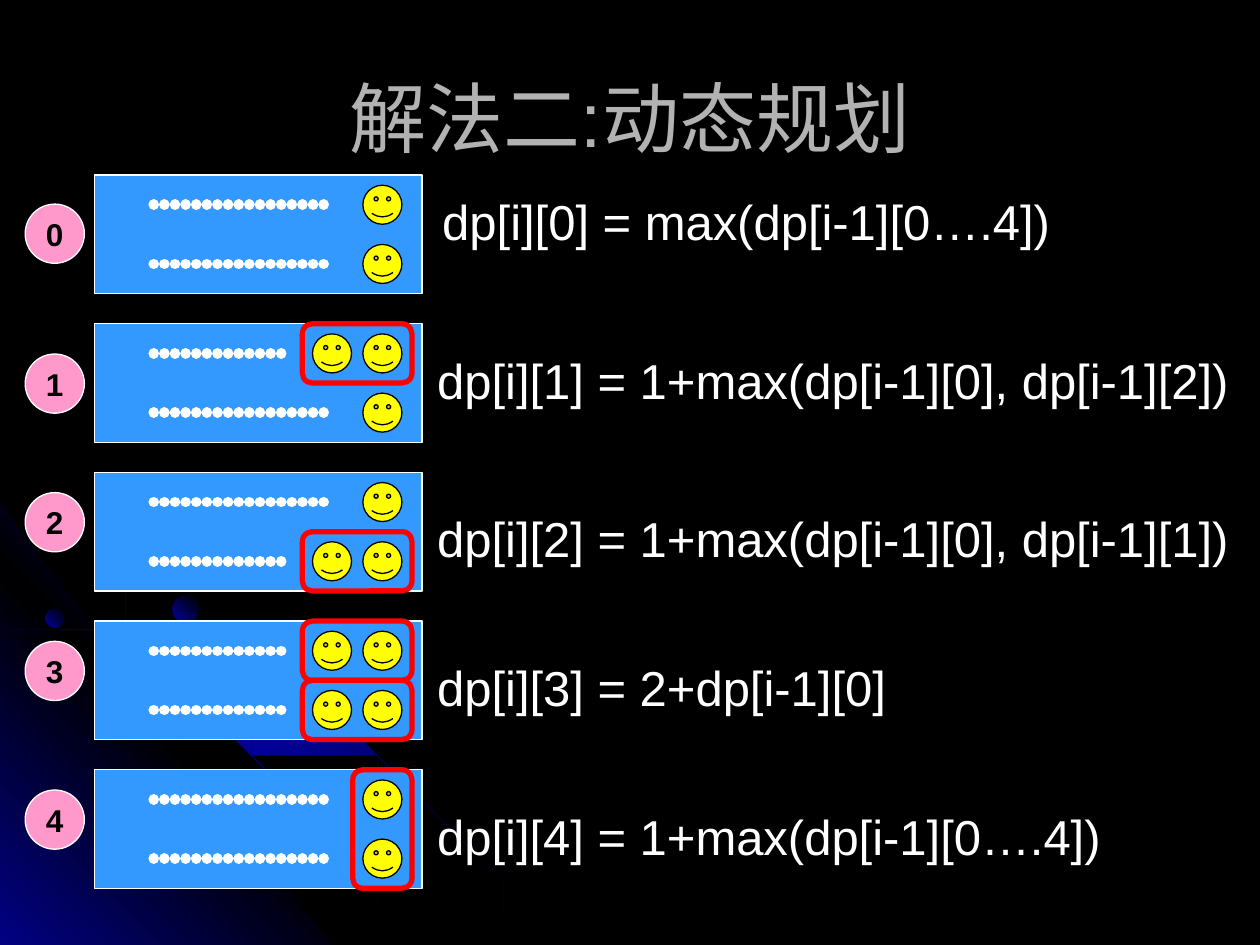
from lxml import etree
from pptx import Presentation
from pptx.dml.color import RGBColor
from pptx.enum.shapes import MSO_CONNECTOR, MSO_SHAPE
from pptx.enum.text import MSO_ANCHOR, PP_ALIGN
from pptx.oxml import parse_xml
from pptx.oxml.ns import nsdecls, qn
from pptx.util import Inches, Pt

RECT, ROUNDED = MSO_SHAPE.RECTANGLE, MSO_SHAPE.ROUNDED_RECTANGLE
OVAL, SMILEY = MSO_SHAPE.OVAL, MSO_SHAPE.SMILEY_FACE
STRAIGHT = MSO_CONNECTOR.STRAIGHT
CENTER, LEFT, MIDDLE, TOP = PP_ALIGN.CENTER, PP_ALIGN.LEFT, MSO_ANCHOR.MIDDLE, MSO_ANCHOR.TOP

# Content: formula, framed cells, badge offset, formula offset, formula left
TITLE = "解法二:动态规划"
STATES = [
    ("dp[i][0] = max(dp[i-1][0….4])", (), 0.23, 0.08, 3.31),
    ("dp[i][1] = 1+max(dp[i-1][0], dp[i-1][2])", ("top",), 0.24, 0.16, 3.27),
    ("dp[i][2] = 1+max(dp[i-1][0], dp[i-1][1])", ("bottom",), 0.16, 0.24, 3.27),
    ("dp[i][3] = 2+dp[i-1][0]", ("top", "bottom"), 0.16, 0.24, 3.27),
    ("dp[i][4] = 1+max(dp[i-1][0….4])", ("column",), 0.16, 0.24, 3.27),
]

# Background decoration: upper edge of each ribbon
NAVY, BLACK, WHITE = "010199", "000000", "FFFFFF"
OUTER_ARC = [(0, 4.35), (0.57, 4.47), (0.98, 4.59), (1.36, 4.77), (1.74, 4.97), (2.09, 5.21),
             (2.42, 5.48), (2.72, 5.78), (3, 6.11), (3.25, 6.48), (3.52, 6.98), (3.72, 7.48)]
INNER_ARC = [(0, 4.75), (0.41, 4.88), (0.79, 5.05), (1.17, 5.26), (1.52, 5.49), (1.84, 5.76),
             (2.15, 6.06), (2.42, 6.4), (2.66, 6.76), (2.86, 7.12), (3.03, 7.48)]
MIDDLE_ARC = [(0, 4.42), (0.39, 4.55), (0.76, 4.73), (1.11, 4.93), (1.44, 5.16), (1.75, 5.43),
              (2.04, 5.73), (2.29, 6.03), (2.54, 6.39), (2.82, 6.93), (3.03, 7.48)]
CORNER = [(3.22, 7.5), (0, 7.5), (0, 4.27)]
ORBS = [(0.36, 4.83, 0.15), (1.37, 4.73, 0.21)]
RIBBON = 0.02

# Grid
ROW_TOP, ROW_PITCH = 1.39, 1.18
PANEL_LEFT, PANEL_W, PANEL_H = 0.75, 2.6, 0.94
CELL = PANEL_H / 2
FACE, FACE_PAD = 0.31, 0.08
FACE_COLUMNS = (2.88, 2.48)
DOTS_LEFT, DOTS_LONG, DOTS_SHORT = 1.22, 2.64, 2.24
BADGE_LEFT = 0.2


def color(value):
    return RGBColor.from_string(value)


def gradient(shape, stops, angle):
    """Fill a borderless shape with evenly spaced gradient stops."""
    shape.shadow.inherit = False
    shape.line.fill.background()
    step = 100000 // (len(stops) - 1)
    gs = "".join(f'<a:gs pos="{i * step}"><a:srgbClr val="{stop}"/></a:gs>'
                 for i, stop in enumerate(stops))
    fill = parse_xml(f'<a:gradFill {nsdecls("a")}><a:gsLst>{gs}</a:gsLst>'
                     f'<a:lin ang="{angle * 60000}" scaled="0"/></a:gradFill>')
    shape._element.spPr.find(qn("a:ln")).addprevious(fill)


def polygon(shapes, points):
    builder = shapes.build_freeform(*points[0], scale=Inches(1))
    builder.add_line_segments(points[1:], close=True)
    return builder.convert_to_shape()


def add_shape(shapes, kind, x, y, w, h, fill, outline, width=0.75):
    shape = shapes.add_shape(kind, Inches(x), Inches(y), Inches(w), Inches(h))
    shape.shadow.inherit = False
    if fill:
        shape.fill.solid()
        shape.fill.fore_color.rgb = color(fill)
    else:
        shape.fill.background()
    shape.line.color.rgb = color(outline)
    shape.line.width = Pt(width)
    return shape


def write(shape, text, size, ink, align, anchor, bold=False, wrap=True):
    frame = shape.text_frame
    frame.text = text
    frame.word_wrap = wrap
    frame.vertical_anchor = anchor
    paragraph = frame.paragraphs[0]
    paragraph.alignment = align
    font = paragraph.font
    font.name, font.size, font.bold = "Arial", Pt(size), bold
    font.color.rgb = color(ink)


def add_dots(shapes, end, y):
    """Row of touching round dots."""
    dots = shapes.add_connector(STRAIGHT, Inches(DOTS_LEFT), Inches(y), Inches(end), Inches(y))
    dots.line.color.rgb = color(WHITE)
    dots.line.width = Pt(6)
    ln = dots.line._ln
    ln.set("cap", "rnd")
    dash = etree.SubElement(ln, qn("a:custDash"))
    etree.SubElement(dash, qn("a:ds"), d="1000", sp="100000")
    etree.SubElement(ln, qn("a:round"))
    etree.SubElement(dots._element.spPr, qn("a:effectLst"))


def add_frame(shapes, x, y, w, h):
    frame = add_shape(shapes, ROUNDED, x, y, w, h, None, "FF0000", 3)
    frame.adjustments[0] = 0.167


def add_decoration(shapes):
    ribbons = [OUTER_ARC, INNER_ARC, MIDDLE_ARC]
    gradient(polygon(shapes, CORNER), (NAVY, BLACK, NAVY), 135)
    for edge in ribbons:
        lower = [(max(0, x - RIBBON), y + RIBBON) for x, y in reversed(edge)]
        gradient(polygon(shapes, edge + lower), (BLACK, NAVY, BLACK), 225)
    for x, y, size in ORBS:
        orb = shapes.add_shape(OVAL, Inches(x), Inches(y), Inches(size), Inches(size))
        gradient(orb, (BLACK, NAVY), 135)


def add_state(shapes, number, formula, framed, badge_dy, formula_dy, formula_left):
    top = ROW_TOP + number * ROW_PITCH
    add_shape(shapes, RECT, PANEL_LEFT, top, PANEL_W, PANEL_H, "3399FF", WHITE)

    # Two lines of dots and faces; a framed pair has a second face
    for row, name in enumerate(("top", "bottom")):
        cell_top = top + row * CELL
        paired = name in framed
        add_dots(shapes, DOTS_SHORT if paired else DOTS_LONG, cell_top + CELL / 2)
        for x in FACE_COLUMNS[:1 + paired]:
            add_shape(shapes, SMILEY, x, cell_top + FACE_PAD, FACE, FACE, "FFFF00", BLACK)
        if paired:
            add_frame(shapes, FACE_COLUMNS[1] - FACE_PAD, cell_top, 0.87, CELL)
    if "column" in framed:
        add_frame(shapes, FACE_COLUMNS[0] - FACE_PAD, top, CELL, PANEL_H)

    # State number and formula
    badge = add_shape(shapes, OVAL, BADGE_LEFT, top + badge_dy, CELL, CELL, "FF99CC", WHITE)
    write(badge, str(number), 18, BLACK, CENTER, MIDDLE, bold=True, wrap=False)
    box = shapes.add_textbox(Inches(formula_left), Inches(top + formula_dy),
                             Inches(10 - formula_left), Inches(0.57))
    write(box, formula, 28, WHITE, LEFT, TOP)
    box.text_frame.margin_left = Inches(0.2)


def main():
    deck = Presentation()
    deck.slide_width, deck.slide_height = Inches(10), Inches(7.5)
    slide = deck.slides.add_slide(deck.slide_layouts[5])
    slide.background.fill.solid()
    slide.background.fill.fore_color.rgb = color(BLACK)

    add_decoration(slide.shapes)

    title = slide.shapes.title
    title.left, title.top = Inches(0.5), Inches(0.3)
    title.width, title.height = Inches(9), Inches(1.25)
    write(title, TITLE, 44, "B2B2B2", CENTER, MIDDLE)

    for number, state in enumerate(STATES):
        add_state(slide.shapes, number, *state)
    deck.save("out.pptx")


if __name__ == "__main__":
    main()
